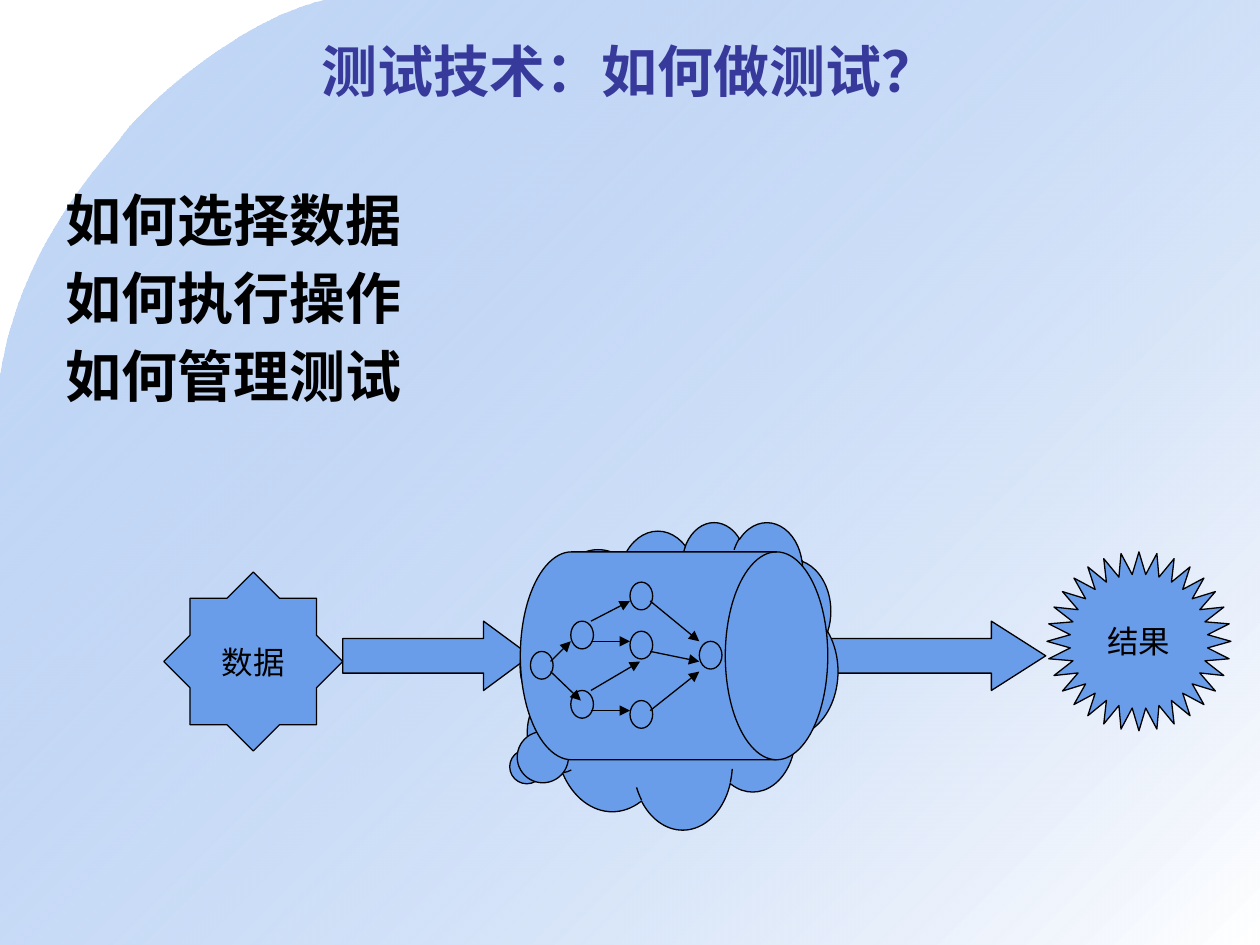
from lxml.etree import SubElement
from pptx import Presentation
from pptx.dml.color import RGBColor
from pptx.enum.shapes import MSO_CONNECTOR, MSO_SHAPE
from pptx.enum.text import MSO_ANCHOR, PP_ALIGN
from pptx.oxml.ns import qn
from pptx.util import Inches, Pt

BLUE = RGBColor(0x69, 0x9D, 0xE9)
INDIGO = RGBColor(0x37, 0x39, 0x9B)
BLACK = RGBColor(0, 0, 0)
WHITE = RGBColor(255, 255, 255)
COLUMNS, ROWS = 100, 75


def curve_points(start, control_1, control_2, end, steps=24):
    """Points along a cubic curve, without its start."""
    for step in range(1, steps + 1):
        t = step / steps
        weights = ((1 - t) ** 3, 3 * t * (1 - t) ** 2, 3 * t * t * (1 - t), t ** 3)
        corners = (start, control_1, control_2, end)
        yield tuple(sum(w * c[axis] for w, c in zip(weights, corners)) for axis in (0, 1))


class SlideBuilder:
    """Holds the style and the slide; lengths are grid columns and rows."""

    font_name = "Arial"
    line_width = Pt(0.75)

    def __init__(self, presentation):
        self.column = presentation.slide_width / COLUMNS
        self.row = presentation.slide_height / ROWS
        self.slide = presentation.slides.add_slide(presentation.slide_layouts[6])
        self.shapes = self.slide.shapes

    def place(self, x, y):
        return round(x * self.column), round(y * self.row)

    def start_group(self):
        self.shapes = self.slide.shapes.add_group_shape().shapes

    def set_lines(self, frame, lines, size, color, bold=False, align=PP_ALIGN.LEFT,
                  hanging=0, gap=0):
        for index, line in enumerate(lines):
            paragraph = frame.paragraphs[0] if index == 0 else frame.add_paragraph()
            paragraph.alignment = align
            if hanging:
                indent = self.place(hanging, 0)[0]
                properties = paragraph._p.get_or_add_pPr()
                properties.set("marL", str(indent))
                properties.set("indent", str(-indent))
            if index and gap:
                paragraph.space_before = Pt(gap)
            run = paragraph.add_run()
            run.text = line
            run.font.color.rgb = color
            font_format = {"name": self.font_name, "size": Pt(size), "bold": bold}
            for attribute, value in font_format.items():
                setattr(run.font, attribute, value)

    def text(self, x, y, width, height, lines, anchor=MSO_ANCHOR.TOP, **style):
        box = self.shapes.add_textbox(*self.place(x, y), *self.place(width, height))
        frame = box.text_frame
        for attribute, value in {"word_wrap": True, "vertical_anchor": anchor}.items():
            setattr(frame, attribute, value)
        self.set_lines(frame, lines, **style)

    def shape(self, kind, x, y, width, height, adjustments=(), label=None):
        shape = self.shapes.add_shape(kind, *self.place(x, y), *self.place(width, height))
        for index, value in enumerate(adjustments):
            shape.adjustments[index] = value
        shape.shadow.inherit = False
        shape.fill.solid()
        shape.fill.fore_color.rgb = BLUE
        shape.line.color.rgb = BLACK
        shape.line.width = self.line_width
        if label:
            shape.text_frame.word_wrap = False
            shape.text_frame.vertical_anchor = MSO_ANCHOR.MIDDLE
            self.set_lines(shape.text_frame, [label], 18, BLACK, align=PP_ALIGN.CENTER)

    def arrow(self, start, end):
        arrow = self.shapes.add_connector(
            MSO_CONNECTOR.STRAIGHT, *self.place(*start), *self.place(*end))
        arrow.line.color.rgb = BLACK
        arrow.line.width = self.line_width
        SubElement(arrow._element.spPr.find(qn("a:ln")), qn("a:tailEnd"), type="triangle")
        SubElement(arrow._element.spPr, qn("a:effectLst"))

    def backdrop(self, points):
        points = [self.place(*point) for point in points]
        outline = self.shapes.build_freeform(*points[0])
        outline.add_line_segments(points[1:], close=True)
        panel = outline.convert_to_shape()
        panel.shadow.inherit = False
        panel.line.fill.background()
        panel.fill.gradient()
        panel.fill.gradient_angle = 315
        for stop, color, position in zip(panel.fill.gradient_stops, (BLUE, WHITE), (0, 1)):
            stop.color.rgb = color
            stop.position = position
        first_color = next(panel._element.spPr.iter(qn("a:srgbClr")))
        SubElement(first_color, qn("a:alpha"), val="39000")


def main():
    presentation = Presentation()
    presentation.slide_width, presentation.slide_height = Inches(10), Inches(7.5)
    builder = SlideBuilder(presentation)

    # Curved gradient backdrop
    top, middle, left = (25.8, 0), (9.8, 10.7), (0, 30.1)
    builder.backdrop([
        top,
        *curve_points(top, (19, 1.6), (11.6, 8.3), middle),
        *curve_points(middle, (8, 13.2), (1.6, 19.4), left),
        (0, ROWS), (COLUMNS, ROWS), (COLUMNS, 0)])

    # Title and questions
    builder.text(5, 2.5, 90, 6.2, ["测试技术：如何做测试？"], MSO_ANCHOR.MIDDLE,
                 size=32, color=INDIGO, bold=True, align=PP_ALIGN.CENTER)
    builder.text(4.2, 14.2, 90.8, 54.2, ["如何选择数据", "如何执行操作", "如何管理测试"],
                 size=32, color=BLACK, bold=True, hanging=3.8, gap=6.4)

    # Data flows through the program to the result
    builder.shape(MSO_SHAPE.RIGHT_ARROW, 27.2, 49.3, 14.9, 5.5, (0.5, 0.677))
    builder.shape(MSO_SHAPE.RIGHT_ARROW, 65.7, 49.3, 17.3, 5.5, (0.5, 0.784))
    builder.shape(MSO_SHAPE.STAR_8_POINT, 13, 45.4, 14.2, 14.2, (0.383,), "数据")
    builder.shape(MSO_SHAPE.STAR_32_POINT, 83.1, 43.8, 14.6, 14.2, (0.375,), "结果")
    builder.shape(MSO_SHAPE.CLOUD_CALLOUT, 41.3, 41.4, 25.2, 24.4, (-0.484, 0.3))

    # Program drum with its graph of states
    builder.start_group()
    builder.shape(MSO_SHAPE.FLOWCHART_DIRECT_ACCESS_STORAGE, 41.3, 43.8, 24.4, 16.5)
    states = [(45.3, 49.3), (50, 50.1), (50, 46.2), (50, 55.6),
              (45.3, 54.8), (55.5, 50.9), (42.1, 51.7)]
    for x, y in states:
        builder.shape(MSO_SHAPE.OVAL, x, y, 1.8, 2.2)
    transitions = [
        ((46.9, 49.3), (50, 47.7)), ((46.9, 50.9), (50, 50.9)),
        ((51.6, 51.7), (55.5, 52.5)), ((51.6, 47.7), (55.5, 50.9)),
        ((46.9, 54.8), (50.8, 52.5)), ((46.9, 56.4), (50, 56.4)),
        ((43.7, 52.5), (45.3, 50.9)), ((43.7, 53.3), (46.1, 55.6)),
        ((51.6, 56.4), (55.5, 53.3))]
    for start, end in transitions:
        builder.arrow(start, end)

    presentation.save("out.pptx")


if __name__ == "__main__":
    main()
